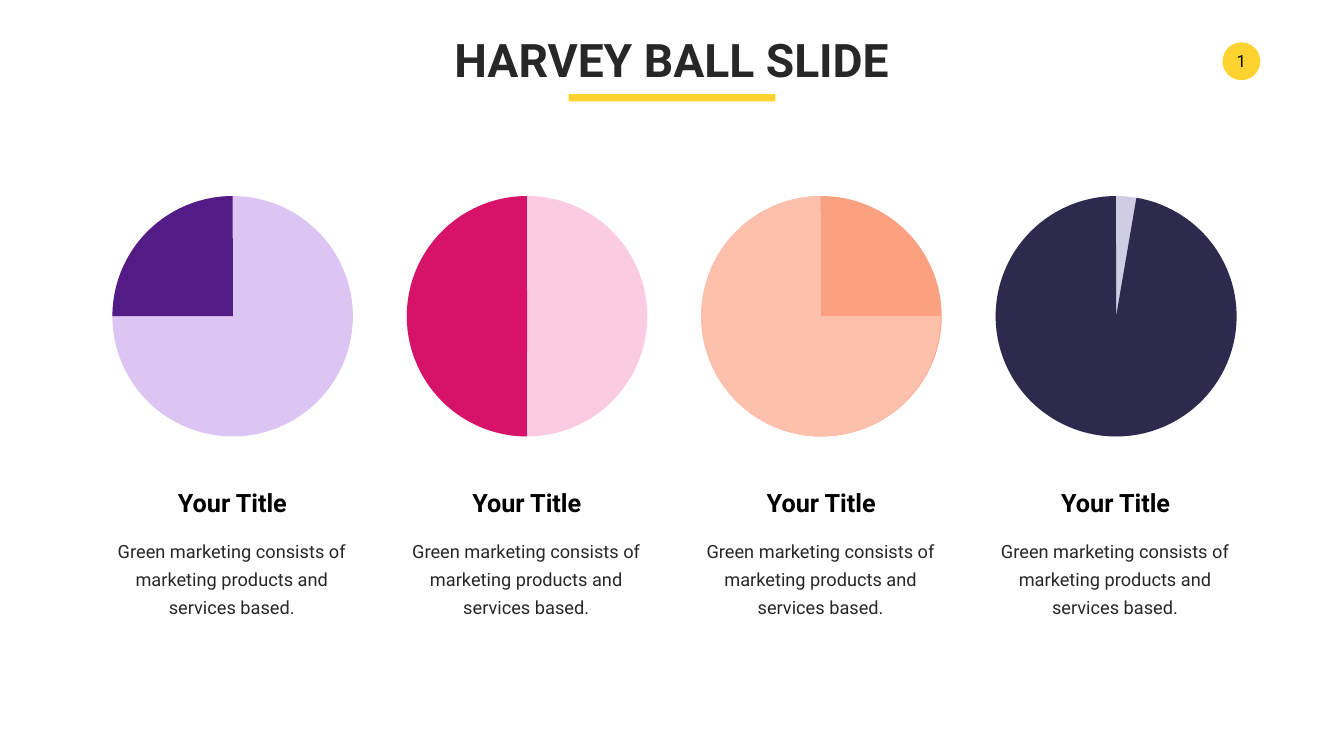
import pptx
import pptx.dml.color
import pptx.enum.shapes
import pptx.enum.text
import pptx.util

Inches = pptx.util.Inches
Pt = pptx.util.Pt
RGBColor = pptx.dml.color.RGBColor
SHAPE = pptx.enum.shapes.MSO_SHAPE
ANCHOR = pptx.enum.text.MSO_ANCHOR

YELLOW = RGBColor(0xFE, 0xD3, 0x30)
BLACK = RGBColor(0x00, 0x00, 0x00)
CHARCOAL = RGBColor(0x27, 0x27, 0x27)
WHITE = RGBColor(0xFF, 0xFF, 0xFF)

HEADING = "HARVEY BALL SLIDE"
PAGE_NUMBER = "1"
BALL_TITLE = "Your Title"
BALL_TEXT = "Green marketing consists of marketing products and services based."

# Ball colour, pie colour, pie start angle in degrees, pie width
BALLS = [
    (RGBColor(0xDD, 0xC5, 0xF3), RGBColor(0x53, 0x1B, 0x86), 180.07, 4.78),
    (RGBColor(0xFB, 0xCC, 0xE1), RGBColor(0xD7, 0x12, 0x69), 90.08, 4.77),
    (RGBColor(0xFC, 0xA0, 0x82), RGBColor(0xFD, 0xC0, 0xAC), 359.91, 4.75),
    (RGBColor(0xCF, 0xCC, 0xE3), RGBColor(0x2E, 0x2A, 0x4D), 279.7, 4.78),
]
PIE_END = 269.89
ADJUSTMENT_PER_DEGREE = 0.6  # 60000 units a degree, 100000 units an adjustment

BALL_LEFT, BALL_TOP, BALL_SIZE, BALL_PITCH = 2.23, 3.89, 4.77, 5.84
TITLE_OFFSET, TEXT_OFFSET = 1.18, -0.28

HEADING_FONT = {"size": Pt(66), "bold": True, "color": CHARCOAL}
TITLE_FONT = {"size": Pt(36), "bold": True, "color": BLACK}
TEXT_FONT = {"size": Pt(26), "color": CHARCOAL}
NUMBER_FONT = {"size": Pt(24), "color": BLACK}


def add_filled(slide, kind, box, color):
    shape = slide.shapes.add_shape(kind, *map(Inches, box))
    shape.shadow.inherit = False
    shape.fill.solid()
    shape.fill.fore_color.rgb = color
    shape.line.fill.background()
    return shape


def write(shape, text, font):
    paragraph = shape.text_frame.paragraphs[0]
    paragraph.text = text
    paragraph.alignment = pptx.enum.text.PP_ALIGN.CENTER
    run_font = paragraph.runs[0].font
    run_font.name = "Roboto"
    for name, value in font.items():
        if name == "color":
            run_font.color.rgb = value
        else:
            setattr(run_font, name, value)
    return paragraph


def add_text(slide, box, text, font, wrap=False):
    shape = slide.shapes.add_textbox(*map(Inches, box))
    shape.text_frame.word_wrap = wrap
    shape.text_frame.auto_size = pptx.enum.text.MSO_AUTO_SIZE.SHAPE_TO_FIT_TEXT
    return write(shape, text, font)


def add_ball(slide, left, ball_color, pie_color, pie_start, pie_width):
    add_filled(slide, SHAPE.OVAL, (left, BALL_TOP, BALL_SIZE, BALL_SIZE), ball_color)
    pie = add_filled(slide, SHAPE.PIE, (left, BALL_TOP, pie_width, BALL_SIZE), pie_color)
    for index, angle in enumerate((pie_start, PIE_END)):
        pie.adjustments[index] = angle * ADJUSTMENT_PER_DEGREE
    add_text(slide, (left + TITLE_OFFSET, 9.62, 2.4, 0.71), BALL_TITLE, TITLE_FONT)
    paragraph = add_text(slide, (left + TEXT_OFFSET, 10.55, 5.3, 1.73), BALL_TEXT, TEXT_FONT, wrap=True)
    paragraph.line_spacing = Pt(40)


def main():
    presentation = pptx.Presentation()
    presentation.slide_width = Inches(26.66)
    presentation.slide_height = Inches(15)
    slide = presentation.slides.add_slide(presentation.slide_layouts[6])
    slide.background.fill.solid()
    slide.background.fill.fore_color.rgb = WHITE

    badge = add_filled(slide, SHAPE.OVAL, (24.25, 0.84, 0.75, 0.75), YELLOW)
    frame = badge.text_frame
    frame.vertical_anchor = ANCHOR.MIDDLE
    for side in ("left", "top", "right", "bottom"):
        setattr(frame, f"margin_{side}", Inches(0.05))
    write(badge, PAGE_NUMBER, NUMBER_FONT)

    add_text(slide, (8.87, 0.58, 8.91, 1.21), HEADING, HEADING_FONT)
    add_filled(slide, SHAPE.RECTANGLE, (11.28, 1.87, 4.1, 0.14), YELLOW)
    for index, ball in enumerate(BALLS):
        add_ball(slide, BALL_LEFT + index * BALL_PITCH, *ball)

    presentation.save("out.pptx")


if __name__ == "__main__":
    main()
